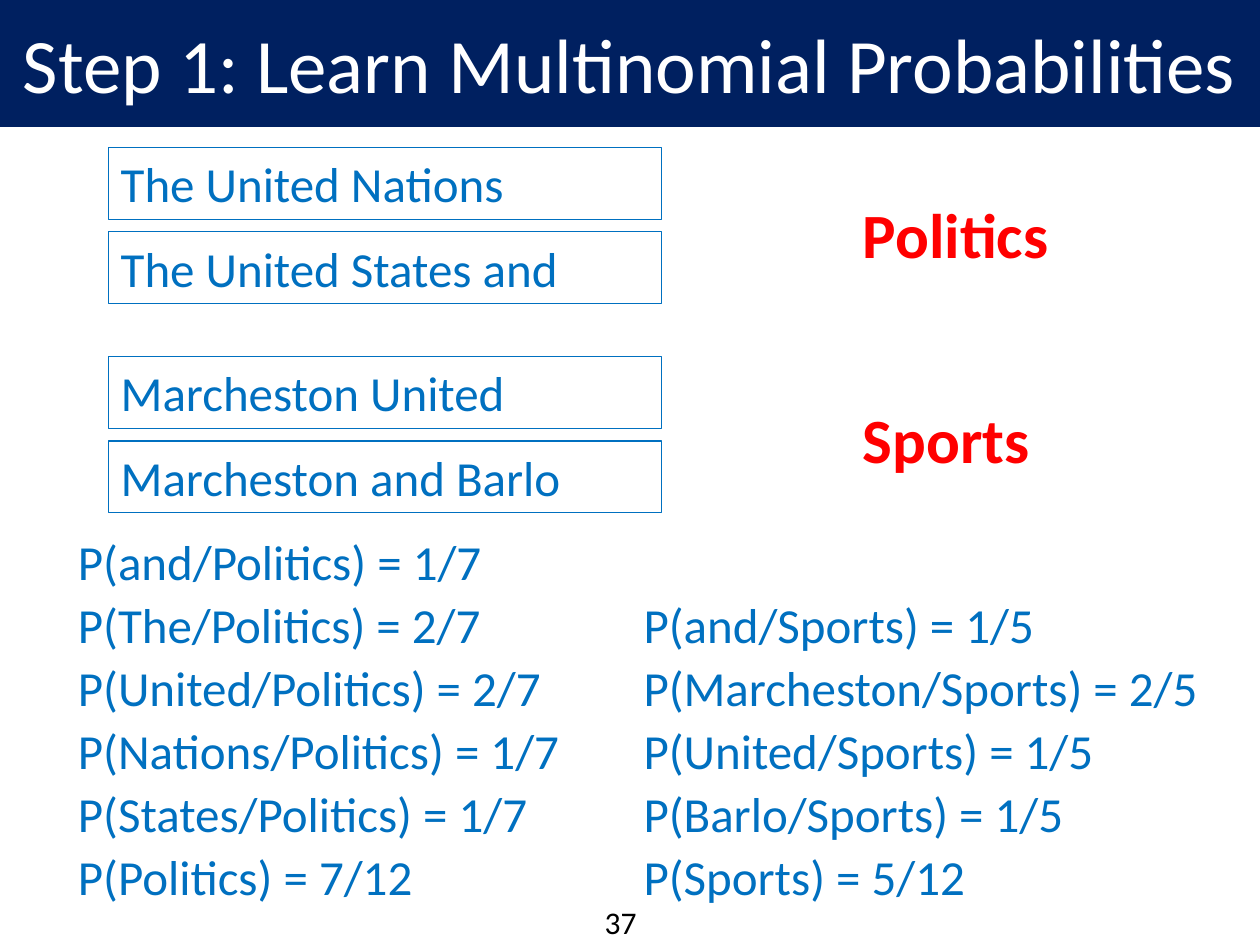
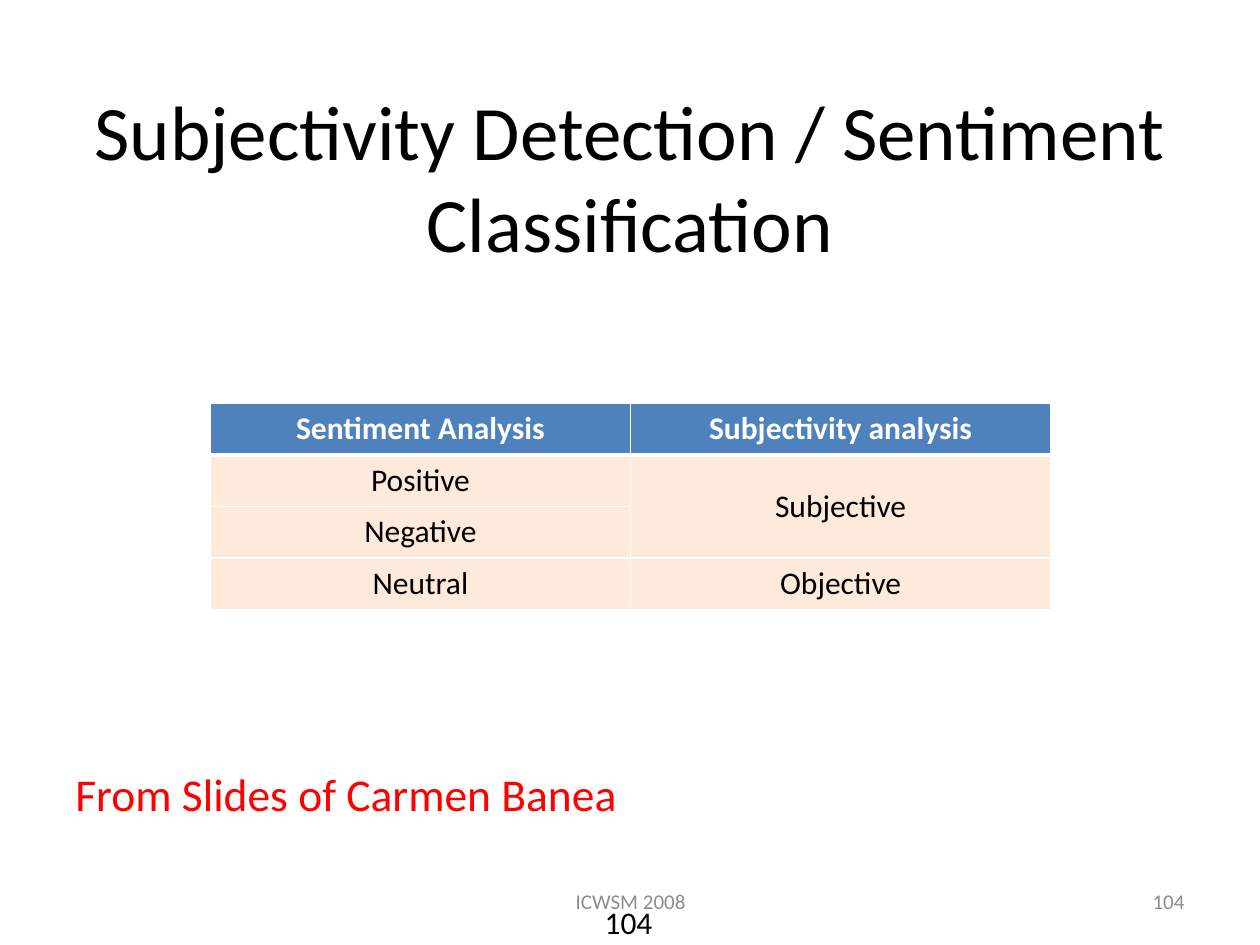
from dataclasses import dataclass

import pptx
import pptx.dml.color
import pptx.enum.shapes
import pptx.enum.text
import pptx.oxml
import pptx.oxml.ns
import pptx.util
from pptx.util import Inches

FONT = "Calibri"
NAVY, BLUE, RED = "002060", "0070C0", "FF0000"
BLACK, WHITE, GREY = "000000", "FFFFFF", "8C8C8C"
HEADER_FILL, BODY_FILL = "4F81BD", "FDEADA"
ALIGN = pptx.enum.text.PP_ALIGN
ANCHOR = pptx.enum.text.MSO_ANCHOR
TITLE_ONLY = 5


@dataclass(frozen=True)
class Style:
    size: float
    color: str
    bold: bool = False
    align: ALIGN = ALIGN.LEFT
    anchor: ANCHOR = ANCHOR.TOP


@dataclass(frozen=True)
class Label:
    text: str
    left: float
    top: float
    width: float
    height: float
    style: Style
    wrap: bool = True


@dataclass(frozen=True)
class ClassExample:
    name: str
    name_top: float
    documents_top: float
    documents: tuple[str, ...]


@dataclass(frozen=True)
class ProbabilityColumn:
    left: float
    top: float
    width: float
    lines: tuple[str, ...]


TEXT = Style(28, BLUE)
CLASS_NAME = Style(36, RED, bold=True)
PAGE_NUMBER = Style(18, BLACK)
CREDIT = Style(26, RED)
FOOTER = Style(12, GREY, align=ALIGN.CENTER, anchor=ANCHOR.MIDDLE)
FOOTER_RIGHT = Style(12, GREY, align=ALIGN.RIGHT, anchor=ANCHOR.MIDDLE)
BAND_TITLE = Style(44, WHITE, align=ALIGN.CENTER, anchor=ANCHOR.MIDDLE)
PLAIN_TITLE = Style(44, BLACK, align=ALIGN.CENTER, anchor=ANCHOR.MIDDLE)
TABLE_HEADER = Style(18, WHITE, bold=True, align=ALIGN.CENTER)
TABLE_BODY = Style(18, BLACK, align=ALIGN.CENTER)

EXAMPLES = (
    ClassExample("Politics", 1.5, 1.17, ("The United Nations", "The United States and")),
    ClassExample("Sports", 3.13, 2.83, ("Marcheston United", "Marcheston and Barlo")),
)
PROBABILITIES = (
    ProbabilityColumn(0.52, 4.17, 4.39, (
        "P(and/Politics) = 1/7",
        "P(The/Politics) = 2/7",
        "P(United/Politics) = 2/7",
        "P(Nations/Politics) = 1/7",
        "P(States/Politics) = 1/7",
        "P(Politics) = 7/12",
    )),
    ProbabilityColumn(5.01, 4.67, 4.67, (
        "P(and/Sports) = 1/5",
        "P(Marcheston/Sports) = 2/5",
        "P(United/Sports) = 1/5",
        "P(Barlo/Sports) = 1/5",
        "P(Sports) = 5/12",
    )),
)
TABLE_ROWS = (
    ("Sentiment Analysis", "Subjectivity analysis"),
    ("Positive", "Subjective"),
    ("Negative", ""),
    ("Neutral", "Objective"),
)


def rgb(color: str) -> pptx.dml.color.RGBColor:
    return pptx.dml.color.RGBColor.from_string(color)


def write(tf, text: str, style: Style) -> None:
    p = tf.paragraphs[0]
    p.alignment = style.align
    r = p.add_run()
    r.text = text
    r.font.name = FONT
    r.font.size = pptx.util.Pt(style.size)
    r.font.bold = style.bold
    r.font.color.rgb = rgb(style.color)


def fill_frame(sp, label: Label) -> None:
    tf = sp.text_frame
    tf.word_wrap = label.wrap
    tf.auto_size = pptx.enum.text.MSO_AUTO_SIZE.NONE
    tf.vertical_anchor = label.style.anchor
    write(tf, label.text, label.style)


def bounds(label: Label) -> tuple:
    return tuple(Inches(v) for v in (label.left, label.top, label.width, label.height))


def add_text(slide, label: Label) -> None:
    fill_frame(slide.shapes.add_textbox(*bounds(label)), label)


def add_box(slide, label: Label) -> None:
    sp = slide.shapes.add_shape(pptx.enum.shapes.MSO_SHAPE.RECTANGLE, *bounds(label))
    sp.shadow.inherit = False
    sp.fill.background()
    sp.line.color.rgb = rgb(BLUE)
    sp.line.width = pptx.util.Pt(0.75)
    fill_frame(sp, label)


def add_slide(prs, title: Label, page: str):
    slide = prs.slides.add_slide(prs.slide_layouts[TITLE_ONLY])
    sp = slide.shapes.title
    sp.left, sp.top, sp.width, sp.height = bounds(title)
    fill_frame(sp, title)
    add_text(slide, Label(page, 4.7, 7.12, 0.71, 0.4, PAGE_NUMBER))
    return slide


def set_borders(cell, top: float, bottom: float) -> None:
    tc_pr = cell._tc.get_or_add_tcPr()
    for side, width in (("L", 1), ("R", 1), ("T", top), ("B", bottom)):
        tc_pr.append(pptx.oxml.parse_xml(
            f'<a:ln{side} {pptx.oxml.ns.nsdecls("a")} w="{pptx.util.Pt(width)}">'
            f'<a:solidFill><a:srgbClr val="{WHITE}"/></a:solidFill></a:ln{side}>'
        ))


def add_analysis_table(slide) -> None:
    row_height = 0.41
    table = slide.shapes.add_table(
        len(TABLE_ROWS), 2, Inches(1.67), Inches(3.2),
        Inches(6.67), Inches(row_height * len(TABLE_ROWS)),
    ).table
    for i, texts in enumerate(TABLE_ROWS):
        table.rows[i].height = Inches(row_height)
        for j, text in enumerate(texts):
            cell = table.cell(i, j)
            set_borders(cell, 3 if i == 1 else 1, 3 if i == 0 else 1)
            cell.fill.solid()
            cell.fill.fore_color.rgb = rgb(BODY_FILL if i else HEADER_FILL)
            if text:
                write(cell.text_frame, text, TABLE_BODY if i else TABLE_HEADER)
    subjective = table.cell(1, 1)
    subjective.merge(table.cell(2, 1))
    subjective.vertical_anchor = ANCHOR.MIDDLE


def build_probabilities(prs) -> None:
    title = Label("Step 1: Learn Multinomial Probabilities", 0, 0, 10, 1, BAND_TITLE)
    slide = add_slide(prs, title, "37")
    band = slide.shapes.title
    band.fill.solid()
    band.fill.fore_color.rgb = rgb(NAVY)
    band.line.color.rgb = rgb(NAVY)
    band.line.width = pptx.util.Pt(0.75)
    for example in EXAMPLES:
        for i, document in enumerate(example.documents):
            top = example.documents_top + 0.67 * i
            add_box(slide, Label(document, 0.86, top, 4.39, 0.57, TEXT))
        add_text(slide, Label(example.name, 6.75, example.name_top, 1.7, 0.71,
                              CLASS_NAME, wrap=False))
    for column in PROBABILITIES:
        for i, line in enumerate(column.lines):
            add_text(slide, Label(line, column.left, column.top + 0.5 * i,
                                  column.width, 0.57, TEXT))


def build_sentiment(prs) -> None:
    title = Label("Subjectivity Detection / Sentiment Classification",
                  0.5, 0.3, 9, 2.19, PLAIN_TITLE)
    slide = add_slide(prs, title, "104")
    add_text(slide, Label("ICWSM 2008", 3.42, 6.95, 3.17, 0.4, FOOTER))
    add_text(slide, Label("104", 7.17, 6.95, 2.33, 0.4, FOOTER_RIGHT))
    add_text(slide, Label("From Slides of Carmen Banea", 0.5, 6.03, 9, 1.1, CREDIT))
    add_analysis_table(slide)


def main() -> None:
    prs = pptx.Presentation()
    prs.slide_width, prs.slide_height = Inches(10), Inches(7.5)
    build_probabilities(prs)
    build_sentiment(prs)
    prs.save("out.pptx")


if __name__ == "__main__":
    main()
